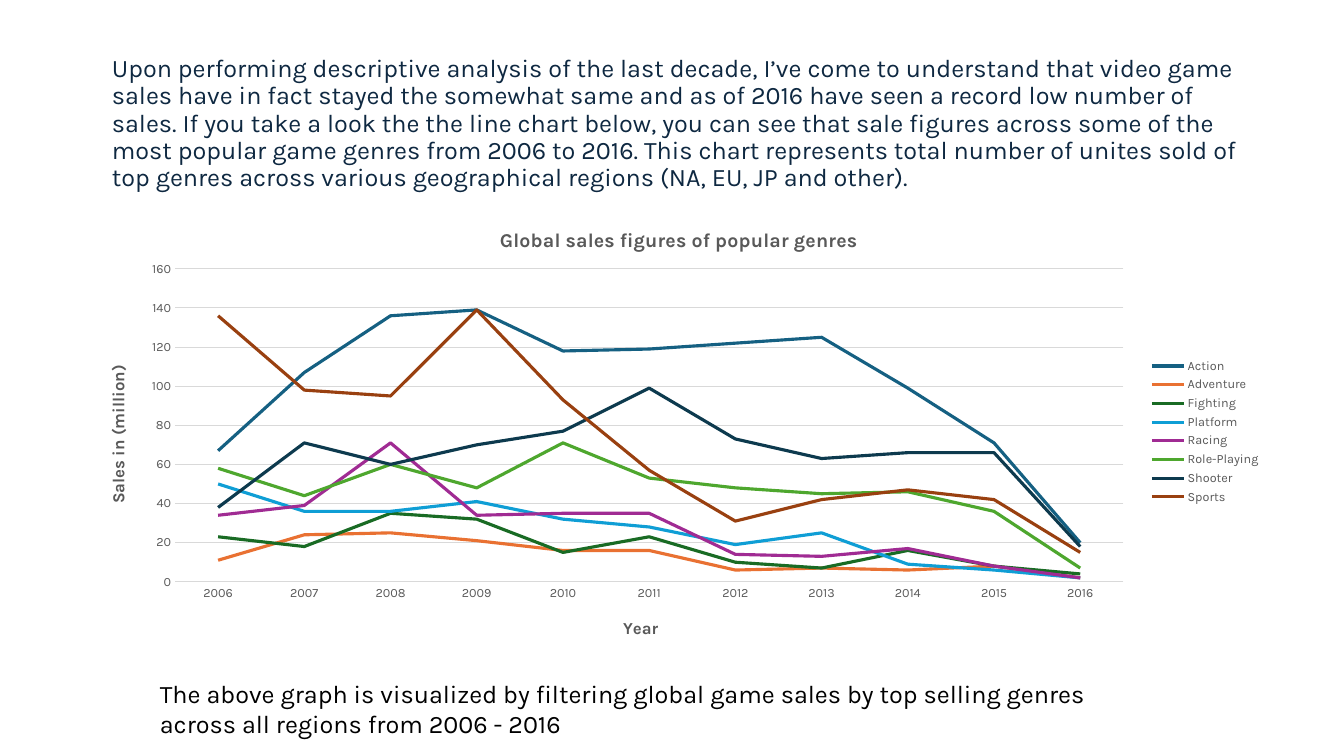
"""Build a slide with a line chart of game sales by genre."""
from lxml import etree
from pptx import Presentation
from pptx.chart.data import CategoryChartData as Data
from pptx.dml.color import RGBColor as Rgb
from pptx.enum.chart import XL_CHART_TYPE as Kind
from pptx.enum.chart import XL_LEGEND_POSITION as Side
from pptx.enum.chart import XL_MARKER_STYLE as Mark
from pptx.enum.chart import XL_TICK_MARK as Tick
from pptx.enum.text import MSO_ANCHOR as Anchor
from pptx.oxml.ns import qn
from pptx.util import Pt

INTRO = (
    "Upon performing descriptive analysis of the last decade, I’ve come to "
    "understand that video game sales have in fact stayed the somewhat same "
    "and as of 2016 have seen a record low number of sales. If you take a look "
    "the the line chart below, you can see that sale figures across some of "
    "the most popular game genres from 2006 to 2016. This chart represents "
    "total number of unites sold of top genres across various geographical "
    "regions (NA, EU, JP and other)."
)
NOTE = (
    "The above graph is visualized by filtering global game sales by top "
    "selling genres across all regions from 2006 - 2016"
)
TITLE, YEAR, SALES = "Global sales figures of popular genres", "Year", "Sales in (million)"
YEARS = [str(y) for y in range(2006, 2017)]
GENRES = [
    ("Action", "156082", (67, 107, 136, 139, 118, 119, 122, 125, 99, 71, 20)),
    ("Adventure", "E97132", (11, 24, 25, 21, 16, 16, 6, 7, 6, 8, 2)),
    ("Fighting", "196B24", (23, 18, 35, 32, 15, 23, 10, 7, 16, 8, 4)),
    ("Platform", "0F9ED5", (50, 36, 36, 41, 32, 28, 19, 25, 9, 6, 2)),
    ("Racing", "A02B93", (34, 39, 71, 34, 35, 35, 14, 13, 17, 8, 2)),
    ("Role-Playing", "4EA72E", (58, 44, 60, 48, 71, 53, 48, 45, 46, 36, 7)),
    ("Shooter", "0D3A4E", (38, 71, 60, 70, 77, 99, 73, 63, 66, 66, 18)),
    ("Sports", "994010", (136, 98, 95, 139, 93, 57, 31, 42, 47, 42, 15)),
]
THEME = dict(font="Karla", navy="0E2841", black="000000", gray="595959", grid="D9D9D9",
             body=18, head=14, axis=12, tick=9, thick=2.25, thin=0.75)
AREA = (81, 205, 1190, 453)


def px(n):
    return round(n * 914400 / 100.8)


def style(font, size, color, bold=False):
    font.name, font.size, font.bold = THEME["font"], Pt(size), bold
    font.color.rgb = Rgb.from_string(THEME[color])


def stroke(line, color, width):
    line.color.rgb = Rgb.from_string(color)
    line.width = Pt(width)


def add_text(slide, box, text, color, anchor, gap, low=5):
    frame = slide.shapes.add_textbox(*map(px, box)).text_frame
    frame.word_wrap = True
    frame.vertical_anchor = anchor
    frame.margin_bottom = px(low)
    para = frame.paragraphs[0]
    para.line_spacing = gap
    run = para.add_run()
    run.text = text
    style(run.font, THEME["body"], color)


def place(node, left, top, size=None):
    lay = node.find(qn("c:layout"))
    if lay is None:
        lay = etree.Element(qn("c:layout"))
        node.insert(0, lay)
    spot = etree.SubElement(lay, qn("c:manualLayout"))
    x, y, w, h = AREA
    rows = [("xMode", "edge"), ("yMode", "edge"),
            ("x", round((left - x) / w, 3)), ("y", round((top - y) / h, 3))]
    if size:
        rows = [("layoutTarget", "inner")] + rows
        rows += [("w", round(size[0] / w, 3)), ("h", round(size[1] / h, 3))]
    for tag, val in rows:
        etree.SubElement(spot, qn("c:" + tag)).set("val", str(val))


def add_title(title, text, size, left, top):
    run = title.text_frame.paragraphs[0].add_run()
    run.text = text
    style(run.font, size, "gray", True)
    place(title._element, left, top)


def add_chart(slide):
    data = Data()
    data.categories = YEARS
    for name, _, vals in GENRES:
        data.add_series(name, vals)
    chart = slide.shapes.add_chart(Kind.LINE, *map(px, AREA), data).chart
    style(chart.font, 10, "black")
    chart.has_title = chart.has_legend = True
    add_title(chart.chart_title, TITLE, THEME["head"], 496, 224)
    chart.legend.position = Side.RIGHT
    chart.legend.include_in_layout = False
    style(chart.legend.font, THEME["tick"], "gray")
    cat, val = chart.category_axis, chart.value_axis
    for axis, text, left, top in ((cat, YEAR, 620, 614), (val, SALES, 104, 362)):
        axis.major_tick_mark = axis.minor_tick_mark = Tick.NONE
        style(axis.tick_labels.font, THEME["tick"], "gray")
        add_title(axis.axis_title, text, THEME["axis"], left, top)
    stroke(cat.format.line, THEME["grid"], THEME["thin"])
    val.format.line.fill.background()
    val.minimum_scale, val.maximum_scale, val.major_unit = 0, 160, 20
    val.has_major_gridlines = True
    stroke(val.major_gridlines.format.line, THEME["grid"], THEME["thin"])
    plot = chart.plots[0]
    plot.vary_by_categories = False
    for line, (_, color, _) in zip(plot.series, GENRES):
        line.smooth = False
        line.marker.style = Mark.NONE
        stroke(line.format.line, color, THEME["thick"])
    place(chart._chartSpace.chart.plotArea, 175, 269, (949, 313))


def main():
    deck = Presentation()
    deck.slide_width, deck.slide_height = px(1344), px(756)
    slide = deck.slides.add_slide(deck.slide_layouts[6])
    add_chart(slide)
    add_text(slide, (102, 54, 1147, 170), INTRO, "navy", Anchor.BOTTOM, 0.9, 32)
    add_text(slide, (150, 673, 996, 72), NOTE, "black", Anchor.TOP, 1.0)
    deck.save("out.pptx")


if __name__ == "__main__":
    main()
